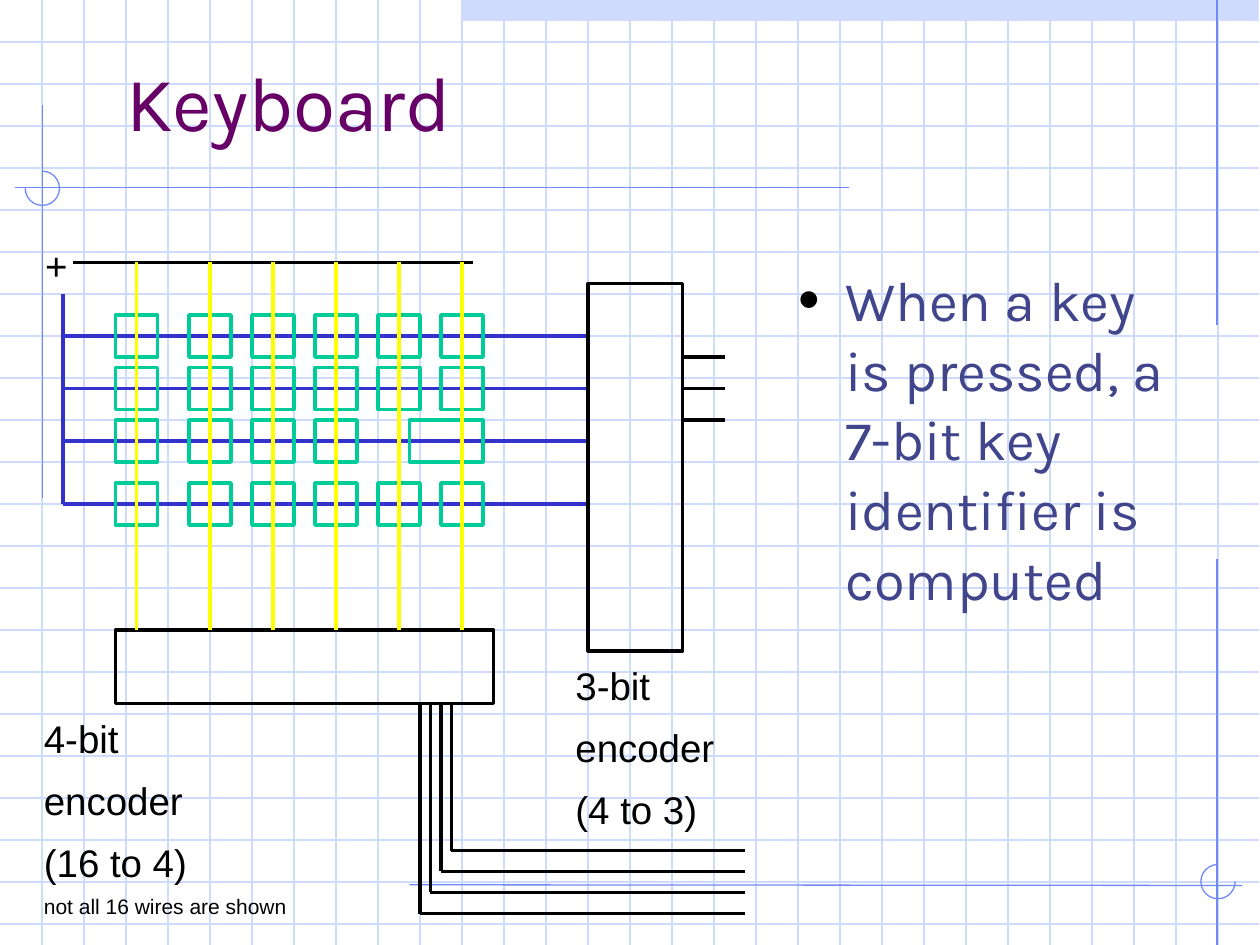
from lxml import etree
from pptx import Presentation
from pptx.dml.color import RGBColor
from pptx.enum.shapes import MSO_CONNECTOR as CONN, MSO_SHAPE as SHAPE
from pptx.enum.text import MSO_ANCHOR as ANCHOR, MSO_AUTO_SIZE as AUTO, PP_ALIGN as ALIGN
from pptx.oxml.ns import qn
from pptx.util import Pt

GRID, RULE, BLACK = "CFDBFD", "6F89F7", "000000"
ROW, COLUMN, KEY = "3333CC", "FFFF00", "00CC99"
rgb = RGBColor.from_string

prs = Presentation()
prs.slide_width, prs.slide_height = Pt(720), Pt(540)
s = prs.slides.add_slide(prs.slide_layouts[1])


def line(x1, y1, x2, y2, color, width=2):
    c = s.shapes.add_connector(CONN.STRAIGHT, Pt(x1), Pt(y1), Pt(x2), Pt(y2))
    c.line.color.rgb = rgb(color)
    c.line.width = Pt(width)
    etree.SubElement(c.element.spPr, qn("a:effectLst"))


def outline(kind, x, y, w, h, color, width=2):
    sp = s.shapes.add_shape(kind, Pt(x), Pt(y), Pt(w), Pt(h))
    sp.shadow.inherit = False
    sp.fill.background()
    sp.line.color.rgb = rgb(color)
    sp.line.width = Pt(width)
    return sp


band = outline(SHAPE.RECTANGLE, 263.5, 0, 455.8, 12, GRID)
band.fill.solid()
band.fill.fore_color.rgb = rgb(GRID)
band.line.fill.background()

for i in range(1, 23):
    line(0, 24 * i, 719.3, 24 * i, GRID, 0.75)
for i in range(1, 30):
    line(24 * i, 0, 24 * i, 540, GRID, 0.75)

for ends in [(695.5, 0, 695.5, 186), (24.2, 60, 24.2, 284.4), (485.3, 107.3, 8.6, 107.3),
             (234, 505.6, 710, 506), (695.5, 319.7, 695.5, 545.8)]:
    line(*ends, RULE, 0.75)
for x, y, start, end in [(14.4, 97.8, 270, 180), (686.2, 494, 0, 270)]:
    arc = outline(SHAPE.ARC, x, y, 19.6, 19.6, RULE, 0.75)
    arc.adjustments[0], arc.adjustments[1] = start * 0.6, end * 0.6

title, body = s.shapes.title, s.placeholders[1]
for sp, text, box, anchor, size, color in [
    (title, "Keyboard", (72, 0, 612, 113), ANCHOR.MIDDLE, 44, "660066"),
    (body, "When a key is pressed, a 7-bit key identifier is computed",
     (456, 150, 222, 324), ANCHOR.TOP, 32, "40458C"),
]:
    sp.element.getparent().append(sp.element)
    sp.left, sp.top, sp.width, sp.height = [Pt(v) for v in box]
    tf = sp.text_frame
    tf.text = text
    tf.auto_size = AUTO.NONE
    tf.vertical_anchor = anchor
    tf.margin_left = tf.margin_top = tf.margin_right = tf.margin_bottom = 0
    p = tf.paragraphs[0]
    p.alignment = ALIGN.LEFT
    p.line_spacing = 1.04
    f = p.runs[0].font
    f.name, f.size, f.color.rgb = "Karla", Pt(size), rgb(color)

p = body.text_frame.paragraphs[0]
p.space_before = Pt(8)
pPr = p._p.get_or_add_pPr()
pPr.set("marL", str(Pt(27)))
pPr.set("indent", str(Pt(-27)))
etree.SubElement(etree.SubElement(pPr, qn("a:buClr")), qn("a:srgbClr"), val=BLACK)
etree.SubElement(pPr, qn("a:buSzPct"), val="110000")
etree.SubElement(pPr, qn("a:buChar"), char="•")

row_wires = [192, 222, 252, 288]
key_lefts = [66, 108, 144, 180, 216, 252]
for y in row_wires:
    line(36, y, 336, y, ROW)
line(36, 288, 36, 168, ROW)

outline(SHAPE.RECTANGLE, 336, 162, 54, 210, BLACK)
for y in (204, 222, 240):
    line(390, y, 414, y, BLACK)

for y in row_wires:
    wide_row = y == 252
    for x in key_lefts[:4] if wide_row else key_lefts:
        outline(SHAPE.RECTANGLE, x, y - 12, 24, 24, KEY)
    if wide_row:
        outline(SHAPE.RECTANGLE, 234, y - 12, 42, 24, KEY)

line(42, 150, 270, 150, BLACK)
outline(SHAPE.RECTANGLE, 66, 360, 216, 42, BLACK)
for x in key_lefts:
    line(x + 12, 360, x + 12, 150, COLUMN)

for i in range(4):
    x, y = 240 + 6 * i, 522 - 12 * i
    line(x, 402, x, y, BLACK)
    line(x, y, 426, y, BLACK)

for box, wrap, paragraphs in [
    ((18.7, 126, 27.4, 42.5), False, [("+", 22)]),
    ((321.8, 366, 93.6, 113.8), False, [("3-bit\vencoder", 22), ("(4 to 3)", 22)]),
    ((18, 396, 241.2, 132.5), True,
     [("4-bit\vencoder", 22), ("(16 to 4)", 22), ("not all 16 wires are shown", 12)]),
]:
    tf = s.shapes.add_textbox(*[Pt(v) for v in box]).text_frame
    tf.word_wrap = wrap
    tf.auto_size = AUTO.SHAPE_TO_FIT_TEXT
    tf.text = "\n".join(text for text, size in paragraphs)
    for p, (text, size) in zip(tf.paragraphs, paragraphs):
        p.line_spacing = 1.34
        for r in p.runs:
            r.font.name, r.font.size, r.font.color.rgb = "Arial", Pt(size), rgb(BLACK)

prs.save("out.pptx")
